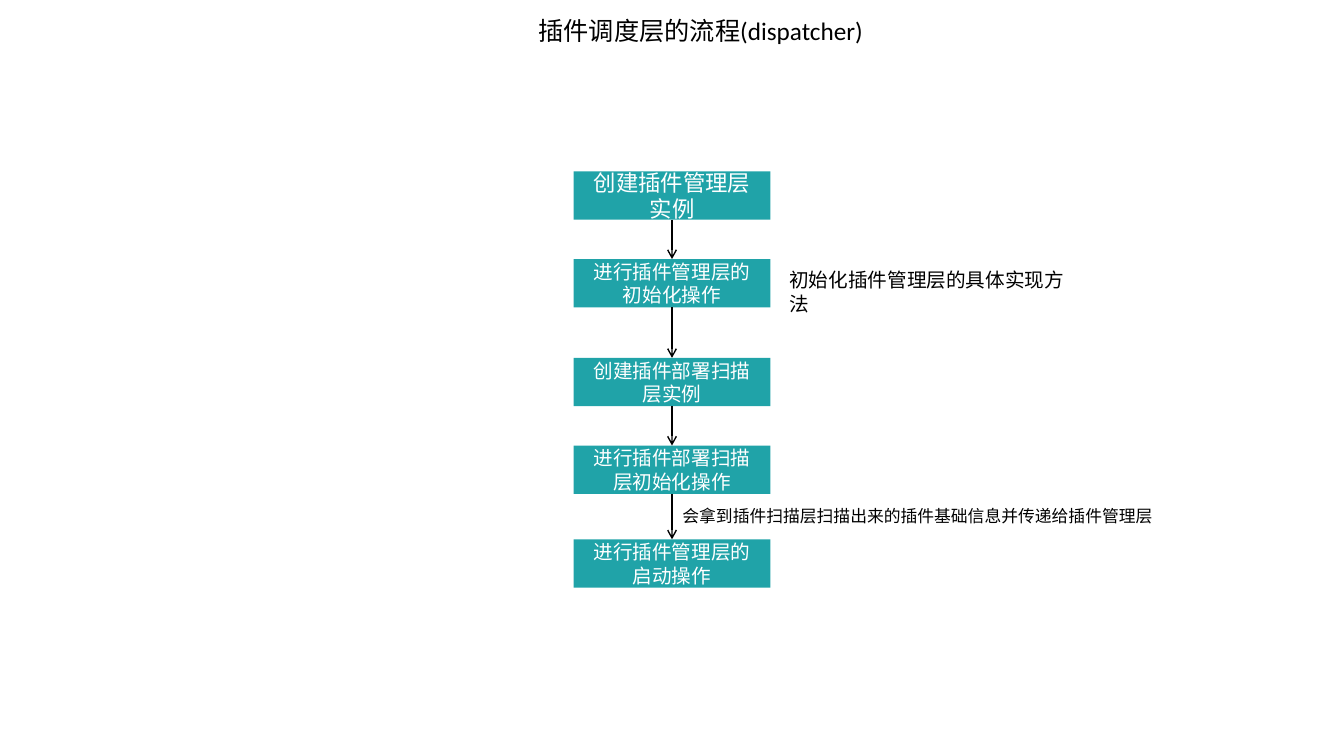
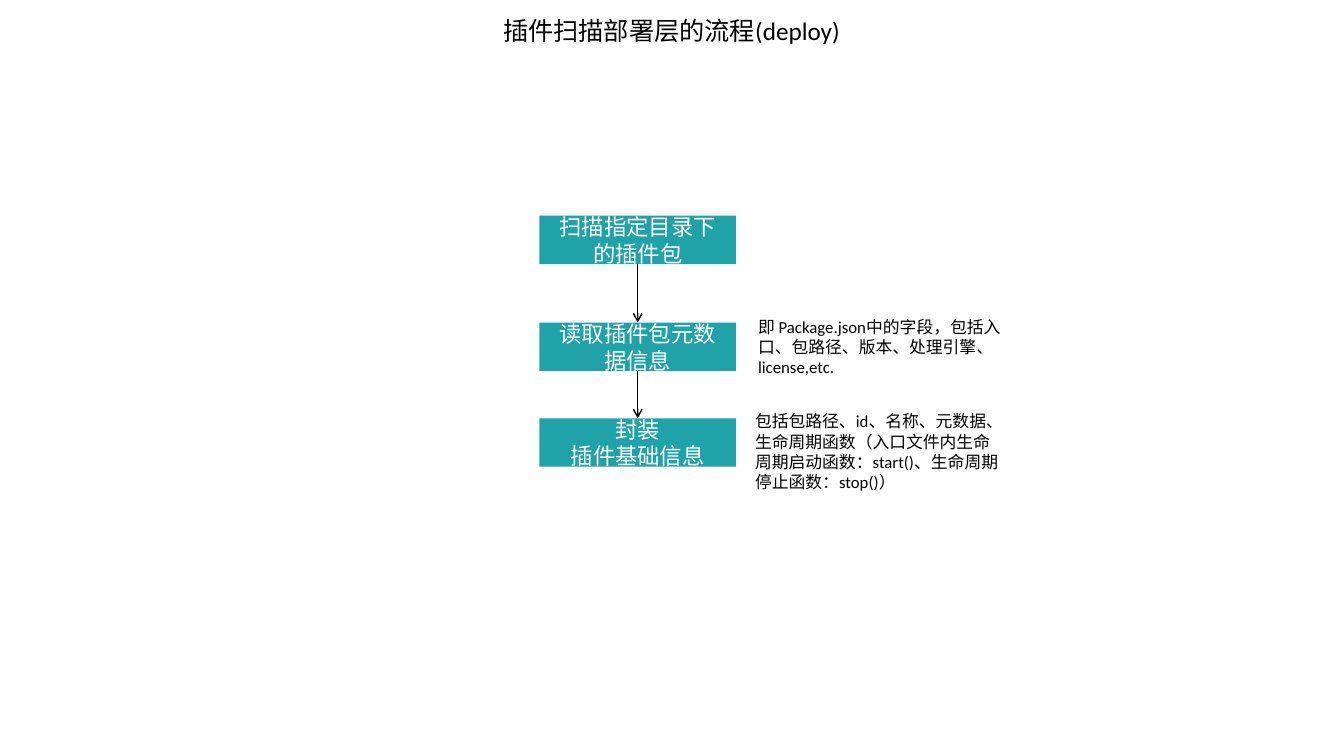
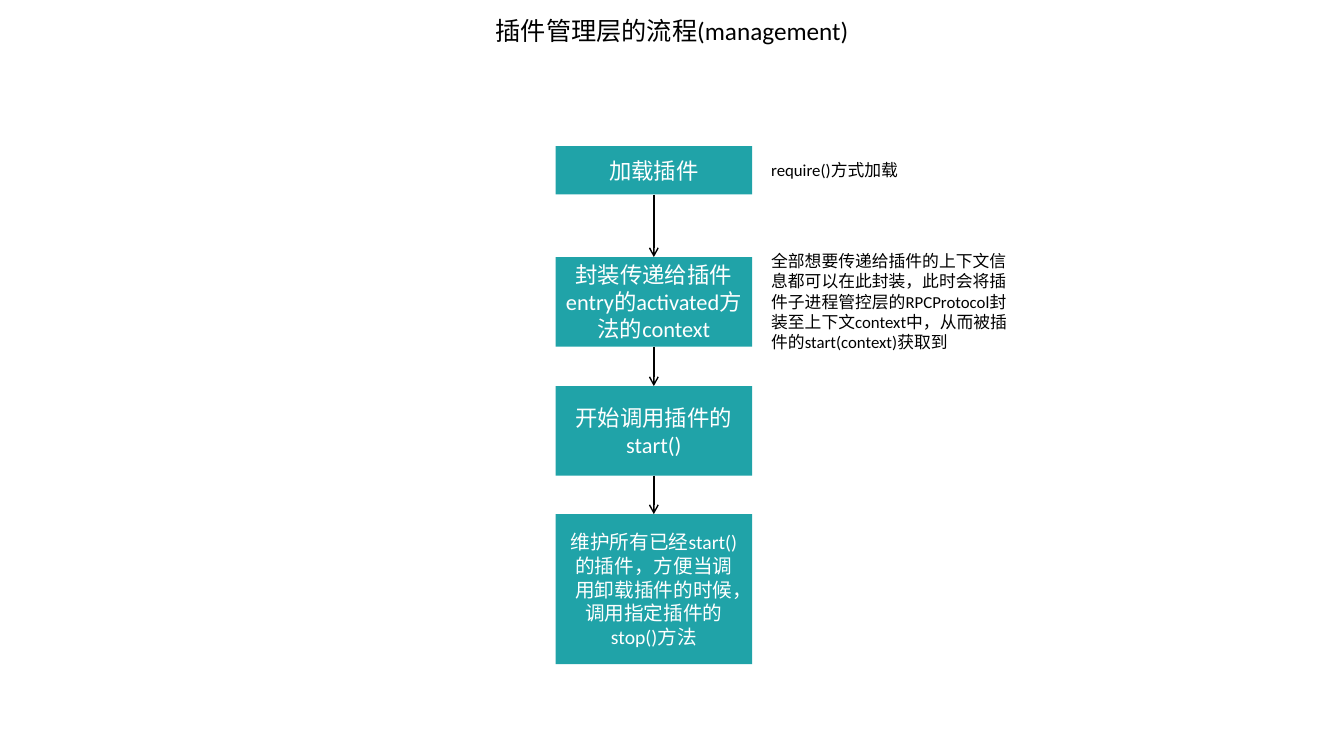
from dataclasses import dataclass
from itertools import pairwise

from lxml import etree
from pptx import Presentation
from pptx.dml.color import RGBColor
from pptx.enum.shapes import MSO_CONNECTOR, MSO_SHAPE
from pptx.enum.text import MSO_ANCHOR, MSO_AUTO_SIZE, PP_ALIGN
from pptx.oxml.ns import qn
from pptx.shapes.autoshape import Shape
from pptx.slide import Slide
from pptx.text.text import TextFrame
from pptx.util import Inches, Pt

RECT = MSO_SHAPE.RECTANGLE
STRAIGHT = MSO_CONNECTOR.STRAIGHT
LEFT, CENTER = PP_ALIGN.LEFT, PP_ALIGN.CENTER
MIDDLE = MSO_ANCHOR.MIDDLE
GROW = MSO_AUTO_SIZE.SHAPE_TO_FIT_TEXT
TOP_SIDE, BOTTOM_SIDE = 0, 2
BLANK = 6


@dataclass(frozen=True)
class Theme:
    font: str = "Calibri"
    teal: RGBColor = RGBColor(0x20, 0xA3, 0xA8)
    black: RGBColor = RGBColor(0, 0, 0)
    white: RGBColor = RGBColor(255, 255, 255)
    title: int = 18
    step: int = 16
    step_small: int = 14
    note: int = 12
    note_large: int = 14
    line: int = 1


THEME = Theme()
STEP_W = 1.95
TITLE_TOP, TITLE_H = 0.1, 0.4


@dataclass(frozen=True)
class Step:
    text: str
    top: float
    height: float = 0.48
    size: int = THEME.step


@dataclass(frozen=True)
class Note:
    text: str
    left: float
    top: float
    width: float
    height: float
    size: int = THEME.note
    wrap: bool = True


@dataclass(frozen=True)
class Flow:
    title: str
    title_left: float
    title_width: float
    step_left: float
    steps: tuple[Step, ...]
    notes: tuple[Note, ...]


SMALL = THEME.step_small

FLOWS = (
    Flow(
        "插件调度层的流程(dispatcher)", 5.01, 3.88, 5.69,
        (
            Step("创建插件管理层实例", 1.7),
            Step("进行插件管理层的初始化操作", 2.57, size=SMALL),
            Step("创建插件部署扫描层实例", 3.55, size=SMALL),
            Step("进行插件部署扫描层初始化操作", 4.42, size=SMALL),
            Step("进行插件管理层的启动操作", 5.35, size=SMALL),
        ),
        (
            Note("会拿到插件扫描层扫描出来的插件基础信息并传递给插件管理层",
                 6.67, 4.97, 4.87, 0.3, wrap=False),
            Note("初始化插件管理层的具体实现方法",
                 7.73, 2.61, 3.1, 0.34, THEME.note_large),
        ),
    ),
    Flow(
        "插件扫描部署层的流程(deploy)", 4.37, 4.58, 5.35,
        (
            Step("扫描指定目录下的插件包", 2.14),
            Step("读取插件包元数据信息", 3.2),
            Step("封装\n插件基础信息", 4.15),
        ),
        (
            Note("即 Package.json中的字段，包括入口、包路径、版本、处理引擎、license,etc.",
                 7.42, 3.09, 2.62, 0.71),
            Note("包括包路径、id、名称、元数据、生命周期函数（入口文件内生命周期启动函数：start()、"
                 "生命周期停止函数：stop()）", 7.39, 4.03, 2.62, 0.91),
        ),
    ),
    Flow(
        "插件管理层的流程(management)", 4.01, 5.31, 5.51,
        (
            Step("加载插件", 1.45),
            Step("封装传递给插件entry的activated方法的context", 2.55, 0.89),
            Step("开始调用插件的start()", 3.83, 0.89),
            Step("维护所有已经start()的插件，方便当调用卸载插件的时候，调用指定插件的stop()方法",
                 5.1, 1.49, SMALL),
        ),
        (
            Note("require()方式加载", 7.55, 1.54, 2.62, 0.3),
            Note("全部想要传递给插件的上下文信息都可以在此封装，此时会将插件子进程管控层的RPCProtocol"
                 "封装至上下文context中，从而被插件的start(context)获取到", 7.55, 2.44, 2.62, 1.11),
        ),
    ),
)


def write(tf: TextFrame, text: str, size: int, color: RGBColor, align: PP_ALIGN) -> None:
    """Write one paragraph per line of text."""
    for i, line in enumerate(text.split("\n")):
        p = tf.add_paragraph() if i else tf.paragraphs[0]
        p.alignment = align
        r = p.add_run()
        r.text = line
        r.font.name = THEME.font
        r.font.size = Pt(size)
        r.font.color.rgb = color


def add_text(s: Slide, note: Note, align: PP_ALIGN = LEFT) -> None:
    sp = s.shapes.add_textbox(Inches(note.left), Inches(note.top),
                              Inches(note.width), Inches(note.height))
    tf = sp.text_frame
    tf.word_wrap = note.wrap
    tf.auto_size = GROW
    write(tf, note.text, note.size, THEME.black, align)


def add_step(s: Slide, step: Step, left: float) -> Shape:
    sp = s.shapes.add_shape(RECT, Inches(left), Inches(step.top),
                            Inches(STEP_W), Inches(step.height))
    sp.shadow.inherit = False
    sp.fill.solid()
    sp.fill.fore_color.rgb = THEME.teal
    sp.line.fill.background()
    tf = sp.text_frame
    tf.word_wrap = True
    tf.vertical_anchor = MIDDLE
    write(tf, step.text, step.size, THEME.white, CENTER)
    return sp


def add_arrow(s: Slide, upper: Shape, lower: Shape) -> None:
    x = upper.left + upper.width // 2
    cxn = s.shapes.add_connector(STRAIGHT, x, upper.top + upper.height, x, lower.top)
    cxn.begin_connect(upper, BOTTOM_SIDE)
    cxn.end_connect(lower, TOP_SIDE)
    cxn.line.color.rgb = THEME.black
    cxn.line.width = Pt(THEME.line)
    # Open arrowhead, no shadow
    etree.SubElement(cxn.line._get_or_add_ln(), qn("a:tailEnd"), type="arrow")
    etree.SubElement(cxn._element.spPr, qn("a:effectLst"))


def add_flow(s: Slide, flow: Flow) -> None:
    # Title
    add_text(s, Note(flow.title, flow.title_left, TITLE_TOP, flow.title_width,
                     TITLE_H, THEME.title), CENTER)
    # Steps, joined from top to bottom
    boxes = [add_step(s, step, flow.step_left) for step in flow.steps]
    for upper, lower in pairwise(boxes):
        add_arrow(s, upper, lower)
    # Side notes
    for note in flow.notes:
        add_text(s, note)


def main() -> None:
    prs = Presentation()
    prs.slide_width, prs.slide_height = Inches(13.33), Inches(7.5)
    for flow in FLOWS:
        add_flow(prs.slides.add_slide(prs.slide_layouts[BLANK]), flow)
    prs.save("out.pptx")


if __name__ == "__main__":
    main()
